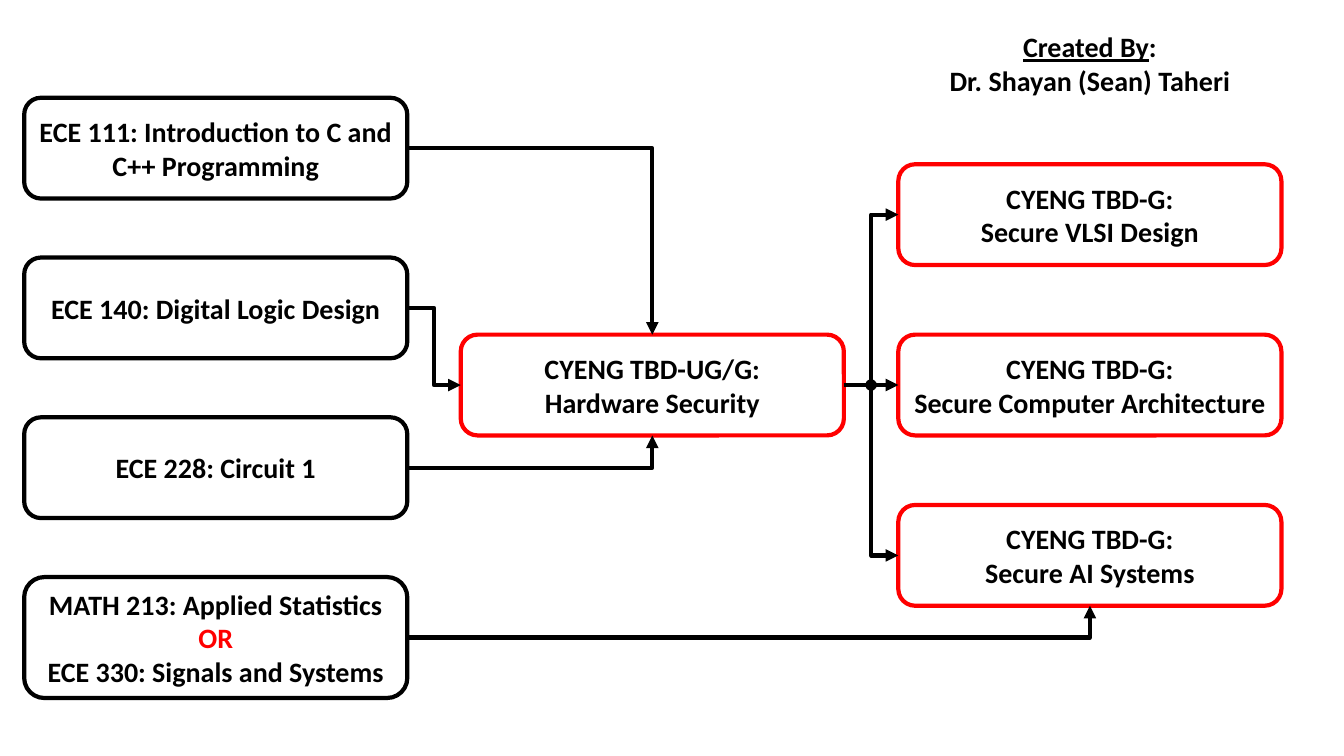
from lxml.etree import SubElement
from pptx import Presentation
from pptx.dml.color import RGBColor
from pptx.enum.shapes import MSO_CONNECTOR as Link, MSO_SHAPE as Preset
from pptx.enum.text import MSO_ANCHOR as Anchor, PP_ALIGN as Align
from pptx.oxml.ns import qn
from pptx.util import Inches, Pt

BLACK = RGBColor(0, 0, 0)
RED = RGBColor(255, 0, 0)
BOX_WIDTH, BOX_HEIGHT = 3.8, 1
TOP, LEFT, BOTTOM, RIGHT = range(4)


def add_box(slide, left, top, lines, outline, height=BOX_HEIGHT):
    """Add a rounded box whose lines are lists of (text, colour, underline) runs."""
    box = slide.shapes.add_shape(Preset.ROUNDED_RECTANGLE, Inches(left), Inches(top),
                                 Inches(BOX_WIDTH), Inches(height))
    box.shadow.inherit = False
    box.fill.background()
    if outline is None:
        box.line.fill.background()
    else:
        box.line.color.rgb = outline
        box.line.width = Pt(3)
    frame = box.text_frame
    frame.word_wrap = True
    frame.vertical_anchor = Anchor.MIDDLE
    for index, line in enumerate(lines):
        paragraph = frame.add_paragraph() if index else frame.paragraphs[0]
        paragraph.alignment = Align.CENTER
        for text, color, underline in line:
            run = paragraph.add_run()
            run.text = text
            run.font.name = "Calibri"
            run.font.size = Pt(20)
            run.font.bold = True
            run.font.underline = underline
            run.font.color.rgb = color
    return box


def plain(*texts):
    """Return one black run for each line of text."""
    return [[(text, BLACK, False)] for text in texts]


def add_arrow(slide, source, target, source_site, target_site, kind=Link.ELBOW):
    """Join two boxes, with a single bend where the arrow enters from above or below."""
    arrow = slide.shapes.add_connector(kind, 0, 0, 0, 0)
    arrow.begin_connect(source, source_site)
    arrow.end_connect(target, target_site)
    arrow.line.color.rgb = BLACK
    arrow.line.width = Pt(3)
    properties = arrow._element.spPr
    if target_site in (TOP, BOTTOM):
        properties.find(qn("a:prstGeom")).set("prst", "bentConnector2")
    SubElement(properties.find(qn("a:ln")), qn("a:tailEnd"), type="triangle")
    SubElement(properties, qn("a:effectLst"))


def add_prerequisites(slide, left, top, pitch):
    """Stack the prerequisite courses and return their boxes."""
    courses = [
        plain("ECE 111: Introduction to C and C++ Programming"),
        plain("ECE 140: Digital Logic Design"),
        plain("ECE 228: Circuit 1"),
    ]
    boxes = [add_box(slide, left, top + row * pitch, course, BLACK)
             for row, course in enumerate(courses)]
    either = plain("MATH 213: Applied Statistics", "OR", "ECE 330: Signals and Systems")
    either[1] = [("OR", RED, False)]
    boxes.append(add_box(slide, left, top + len(courses) * pitch, either, BLACK, 1.2))
    return boxes


def add_graduate_courses(slide, left, top, pitch):
    """Stack the graduate security courses and return their boxes."""
    topics = ["Secure VLSI Design", "Secure Computer Architecture", "Secure AI Systems"]
    return [add_box(slide, left, top + row * pitch, plain("CYENG TBD-G:", topic), RED)
            for row, topic in enumerate(topics)]


def add_junction(slide, center_x, center_y, size=0.1):
    """Mark the point where the arrows to the graduate courses part."""
    dot = slide.shapes.add_shape(Preset.OVAL, Inches(center_x - size / 2),
                                 Inches(center_y - size / 2), Inches(size), Inches(size))
    dot.shadow.inherit = False
    dot.fill.solid()
    dot.fill.fore_color.rgb = BLACK
    dot.line.color.rgb = BLACK
    dot.line.width = Pt(1)


def add_course_map(slide, left, core_left, graduate_left, core_top):
    """Place the three columns of courses and the arrows between them."""
    programming, logic, circuit, statistics = add_prerequisites(slide, left, 0.97, 1.585)
    hardware = add_box(slide, core_left, core_top,
                       plain("CYENG TBD-UG/G:", "Hardware Security"), RED)
    vlsi, architecture, ai_systems = add_graduate_courses(
        slide, graduate_left, core_top - 1.69, 1.69)
    add_arrow(slide, programming, hardware, RIGHT, TOP)
    add_arrow(slide, circuit, hardware, RIGHT, BOTTOM)
    add_arrow(slide, logic, hardware, RIGHT, LEFT)
    add_arrow(slide, hardware, vlsi, RIGHT, LEFT)
    add_arrow(slide, hardware, ai_systems, RIGHT, LEFT)
    add_arrow(slide, hardware, architecture, RIGHT, LEFT, Link.STRAIGHT)
    add_arrow(slide, statistics, ai_systems, RIGHT, BOTTOM)
    add_junction(slide, (core_left + BOX_WIDTH + graduate_left) / 2,
                 core_top + BOX_HEIGHT / 2)


def add_author(slide, left, top):
    """Place the author's name without an outline."""
    heading = [("Created By", BLACK, True), (":", BLACK, False)]
    add_box(slide, left, top, [heading] + plain("Dr. Shayan (Sean) Taheri"), None)


deck = Presentation()
deck.slide_width, deck.slide_height = Inches(13.33), Inches(7.5)
course_slide = deck.slides.add_slide(deck.slide_layouts[6])
add_course_map(course_slide, 0.24, 4.57, 8.91, 3.32)
add_author(course_slide, 8.91, 0.13)
deck.save("out.pptx")
